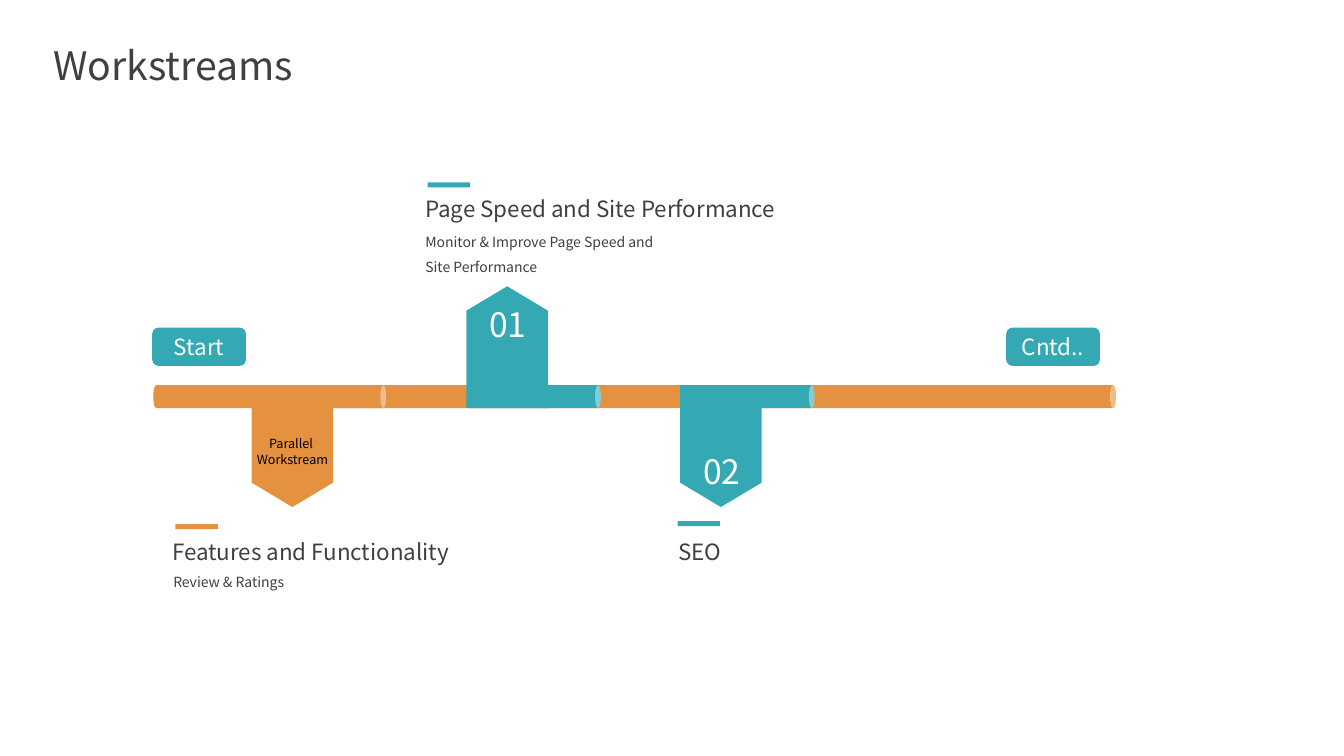
from pptx import Presentation
from pptx.dml.color import RGBColor
from pptx.enum.shapes import MSO_SHAPE as Shape
from pptx.enum.text import MSO_ANCHOR as Anchor, MSO_AUTO_SIZE as AutoSize, PP_ALIGN as Align
from pptx.util import Inches, Pt

ORANGE = RGBColor(0xE4, 0x91, 0x40)
TEAL = RGBColor(0x34, 0xA9, 0xB3)
DARK = RGBColor(0x40, 0x40, 0x40)
WHITE = RGBColor(0xFF, 0xFF, 0xFF)
BLACK = RGBColor(0, 0, 0)
FONT = "Noto Sans CJK SC"

PIPE_MIDDLE = 3.935
PIPE_THICKNESS = 0.23
SEGMENT_LENGTH = 1.33
FLAG_WIDTH, FLAG_HEIGHT = 0.81, 1.21


def write(holder, text, size=16, color=DARK, align=Align.LEFT, anchor=Anchor.TOP, spacing=None):
    frame = holder.text_frame
    frame.word_wrap = True
    frame.auto_size = AutoSize.NONE
    frame.vertical_anchor = anchor
    frame.text = text
    for para in frame.paragraphs:
        para.alignment = align
        para.line_spacing = spacing
        for span in para.runs:
            span.font.name = FONT
            span.font.size = Pt(size)
            span.font.color.rgb = color


def add_text(page, text, left, top, width, height, **style):
    box = page.shapes.add_textbox(Inches(left), Inches(top), Inches(width), Inches(height))
    write(box, text, **style)


def add_block(page, kind, left, top, width, height, color, rotation=0):
    block = page.shapes.add_shape(kind, Inches(left), Inches(top), Inches(width), Inches(height))
    block.shadow.inherit = False
    block.fill.solid()
    block.fill.fore_color.rgb = color
    block.line.fill.background()
    block.rotation = rotation
    return block


def add_pipe(page, left, length, color):
    add_block(page, Shape.CAN, left + (length - PIPE_THICKNESS) / 2, PIPE_MIDDLE - length / 2,
              PIPE_THICKNESS, length, color, rotation=90)


def add_flag(page, left, color, upward=False):
    add_pipe(page, left, SEGMENT_LENGTH, color)
    top = 2.84 if upward else 3.82
    add_block(page, Shape.FLOWCHART_OFFPAGE_CONNECTOR, left - 0.005, top,
              FLAG_WIDTH, FLAG_HEIGHT, color, rotation=180 if upward else 0)


def add_badge(page, text, left):
    badge = add_block(page, Shape.ROUNDED_RECTANGLE, left, 3.25, 0.93, 0.38, TEAL)
    write(badge, text, color=WHITE, align=Align.CENTER, anchor=Anchor.MIDDLE)


def add_accent(page, left, top, color):
    add_block(page, Shape.RECTANGLE, left, top, 0.42, 0.05, color)


def add_title(page, text):
    title = page.shapes.title
    title.left, title.top = Inches(0.43), Inches(0.36)
    title.width, title.height = Inches(4.63), Inches(0.57)
    write(title, text, size=28)


def main():
    deck = Presentation()
    deck.slide_width, deck.slide_height = Inches(13.33), Inches(7.5)
    page = deck.slides.add_slide(deck.slide_layouts[5])
    add_title(page, "Workstreams")

    add_pipe(page, 1.52, 9.55, ORANGE)
    add_badge(page, "Start", 1.51)
    add_badge(page, "Cntd..", 9.98)

    add_flag(page, 2.5, ORANGE)
    add_text(page, "Parallel \nWorkstream", 2.36, 4.28, 1.08, 0.4,
             size=9, color=BLACK, align=Align.CENTER)
    add_accent(page, 1.74, 5.2, ORANGE)
    add_text(page, "Features and Functionality", 1.61, 5.29, 3.28, 0.37)
    add_text(page, "Review & Ratings", 1.62, 5.64, 2.58, 0.27, size=10)

    add_flag(page, 4.63, TEAL, upward=True)
    add_text(page, "01", 4.71, 2.97, 0.65, 0.5, size=24, color=WHITE, align=Align.CENTER)
    add_accent(page, 4.24, 1.81, TEAL)
    add_text(page, "Page Speed and Site Performance", 4.12, 1.89, 3.98, 0.37)
    add_text(page, "Monitor & Improve Page Speed and Site Performance",
             4.12, 2.18, 2.58, 0.58, size=10, spacing=1.5)

    add_flag(page, 6.75, TEAL)
    add_text(page, "02", 6.83, 4.42, 0.66, 0.5, size=24, color=WHITE, align=Align.CENTER)
    add_accent(page, 6.72, 5.17, TEAL)
    add_text(page, "SEO", 6.63, 5.16, 2.89, 0.46, spacing=1.5)

    deck.save("out.pptx")


if __name__ == "__main__":
    main()
